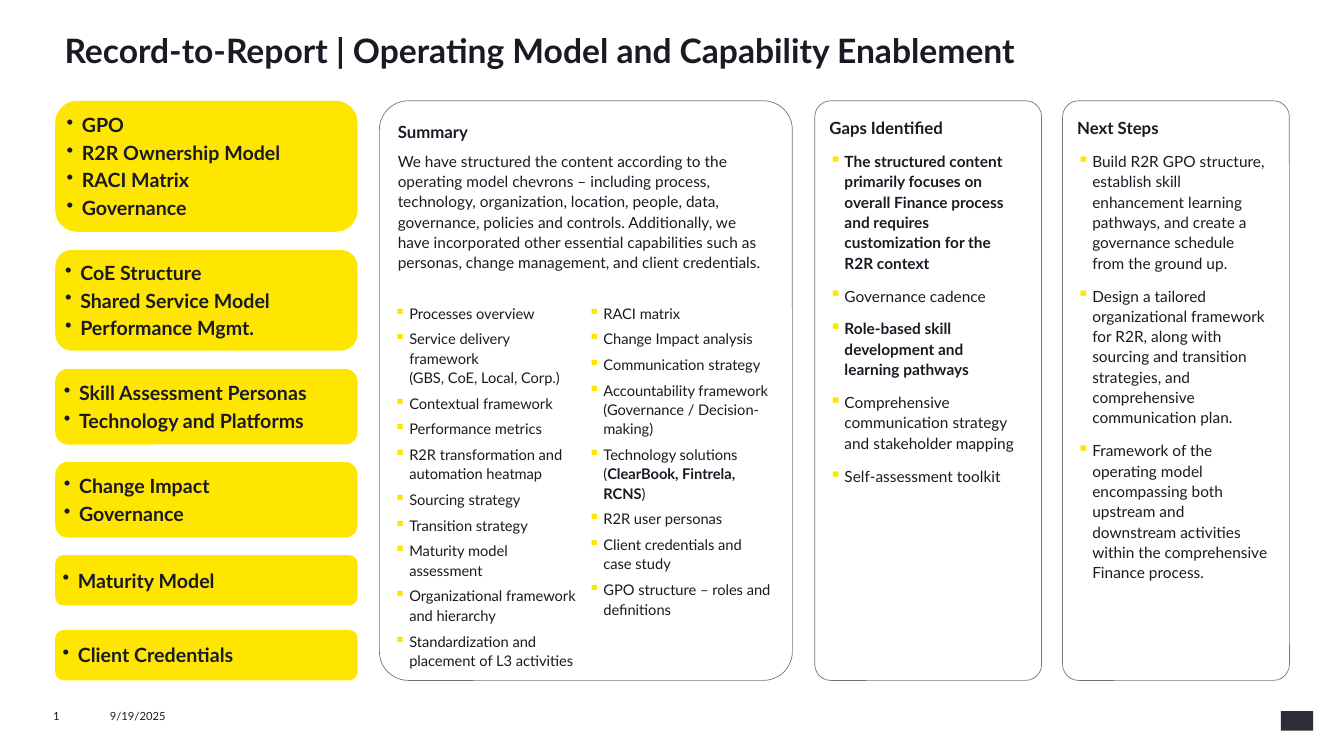
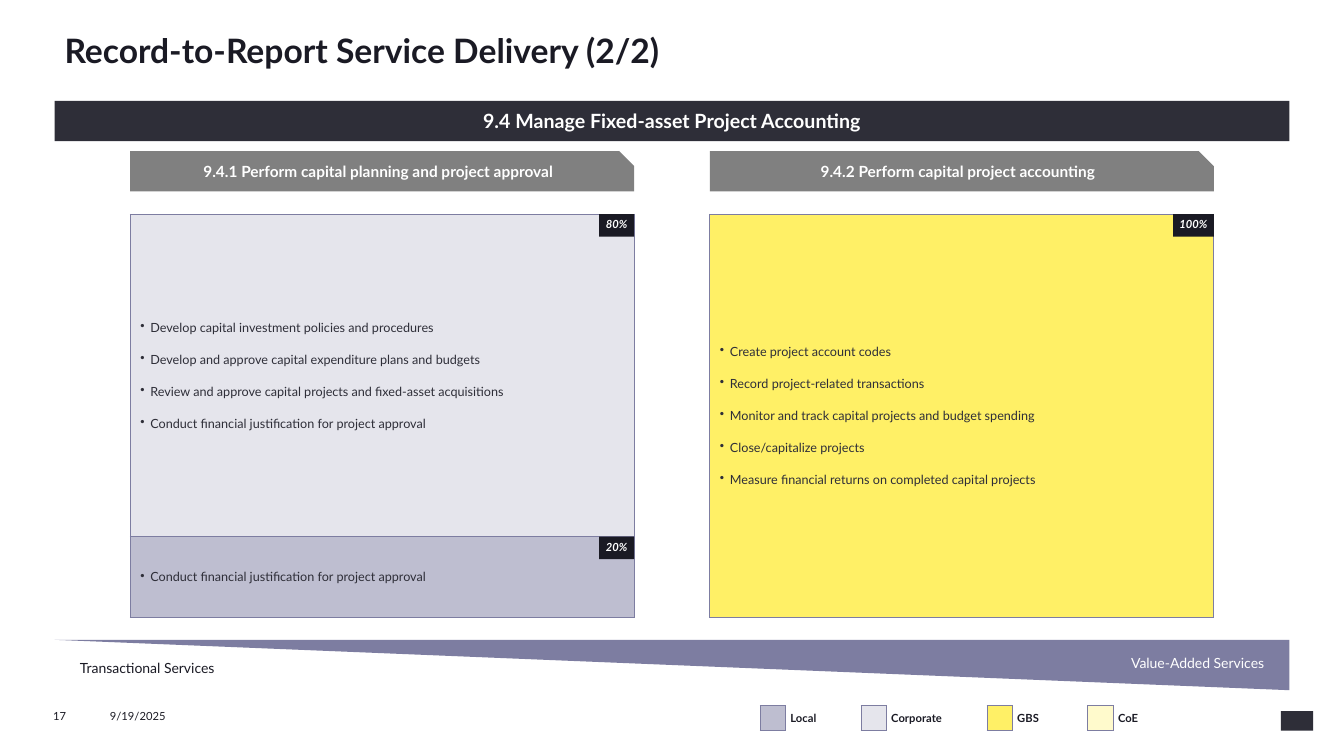
from lxml.etree import SubElement
from pptx import Presentation
from pptx.dml.color import RGBColor
from pptx.enum.shapes import MSO_SHAPE
from pptx.enum.text import MSO_ANCHOR, PP_ALIGN
from pptx.oxml.ns import qn
from pptx.util import Pt

RECT = MSO_SHAPE.RECTANGLE
ROUND = MSO_SHAPE.ROUNDED_RECTANGLE
PILL = MSO_SHAPE.FLOWCHART_ALTERNATE_PROCESS
SNIP = MSO_SHAPE.SNIP_1_RECTANGLE
WEDGE = MSO_SHAPE.RIGHT_TRIANGLE
TOP, MID = MSO_ANCHOR.TOP, MSO_ANCHOR.MIDDLE
LEFT, MIDST, RIGHT = PP_ALIGN.LEFT, PP_ALIGN.CENTER, PP_ALIGN.RIGHT

FONT = "Lato"
INK, DARK, GREY, EDGE = "1A1A24", "2E2E38", "808080", "747480"
WHITE, GOLD, PLUM = "FFFFFF", "FFE600", "7D7DA1"
LOCAL, CORP, GBS, COE = "BEBED0", "E5E5EC", "FFF066", "FFFACC"
INSET = (7.2, 3.6, 7.2, 3.6)
TIGHT = (3.6,) * 4
PANEL = (7.2, 7.2, 10.8, 0)


def color(code):
    """Turn a hex string into a colour."""
    return RGBColor.from_string(code)


class Deck:
    """Hold the shared style and the slide being built."""

    def __init__(self):
        self.show = Presentation()
        self.show.slide_width, self.show.slide_height = Pt(960), Pt(540)
        self.slide = None

    def page(self, title, number):
        """Start a slide with its title and footer."""
        self.slide = self.show.slides.add_slide(self.show.slide_layouts[6])
        self.prose(self.text(39, 18, 882, 43, (7.2, 3.6, 7.2, 0)), [title], 24, bold=True)
        for x, w, note in ((38, 40, number), (78.5, 101, "9/19/2025")):
            self.prose(self.text(x, 507, w, 9.5, (0,) * 4), [note], 8)
        self.shape(RECT, 915, 508, 23, 14, DARK)

    def setup(self, frame, inset, anchor):
        """Set wrap, insets and anchor of a text frame."""
        frame.word_wrap = True
        frame.vertical_anchor = anchor
        (frame.margin_left, frame.margin_top,
         frame.margin_right, frame.margin_bottom) = map(Pt, inset)
        return frame

    def text(self, x, y, w, h, inset=INSET, anchor=TOP):
        """Add a text box and return its frame."""
        box = self.slide.shapes.add_textbox(Pt(x), Pt(y), Pt(w), Pt(h))
        return self.setup(box.text_frame, inset, anchor)

    def shape(self, kind, x, y, w, h, fill=None, line=None, adjust=None,
              turn=0, inset=INSET, anchor=MID):
        """Add a preset shape and return its text frame."""
        item = self.slide.shapes.add_shape(kind, Pt(x), Pt(y), Pt(w), Pt(h))
        item.shadow.inherit = False
        item.rotation = turn
        if adjust is not None:
            item.adjustments[0] = adjust
        self.paint(item.fill, fill)
        self.paint(item.line.fill, line)
        if line:
            item.line.width = Pt(0.5)
        return self.setup(item.text_frame, inset, anchor)

    def paint(self, fill, code):
        """Fill with a solid colour or with nothing."""
        if code:
            fill.solid()
            fill.fore_color.rgb = color(code)
        else:
            fill.background()

    def prose(self, frame, paras, size, ink=INK, bold=False, italic=False,
              mark=None, tint=None, dent=10.8, gap=0, lead=None, align=LEFT):
        """Append paragraphs, each a string or a list of (text, bold) runs."""
        for runs in paras:
            fresh = not frame.text
            para = frame.paragraphs[0] if fresh else frame.add_paragraph()
            para.alignment = align
            if lead:
                para.line_spacing = lead
            para.space_before = Pt(0 if fresh else gap)
            if mark:
                self.bullet(para, mark, tint, dent)
            for words, heavy in [(runs, bold)] if isinstance(runs, str) else runs:
                if words == "\n":
                    para.add_line_break()
                    SubElement(para._p[-1], qn("a:rPr"), sz=str(int(size * 100)))
                    continue
                run = para.add_run()
                run.text = words
                font = run.font
                font.name, font.size = FONT, Pt(size)
                font.bold, font.italic = heavy, italic
                font.color.rgb = color(ink)

    def bullet(self, para, mark, tint, dent):
        """Give a paragraph a hanging bullet."""
        props = para._p.get_or_add_pPr()
        props.set("marL", str(Pt(dent)))
        props.set("indent", str(-Pt(dent)))
        if tint:
            hue = SubElement(props, qn("a:buClr"))
            SubElement(hue, qn("a:srgbClr"), val=tint)
            SubElement(props, qn("a:buSzPct"), val="110000")
        SubElement(props, qn("a:buChar"), char=mark)

    def points(self, frame, paras, size, gap):
        """Append paragraphs with gold square bullets."""
        self.prose(frame, paras, size, mark="▪", tint=GOLD, gap=gap, lead=1.1)

    def table(self, x, y, widths, heights):
        """Add a plain table and return it."""
        grid = self.slide.shapes.add_table(
            len(heights), len(widths), Pt(x), Pt(y),
            Pt(sum(widths)), Pt(sum(heights))).table
        grid.first_row = grid.horz_banding = False
        for part, span in zip(grid.columns, widths):
            part.width = Pt(span)
        for part, span in zip(grid.rows, heights):
            part.height = Pt(span)
        return grid

    def cell(self, cell, fill=None, sides="LRTB", inset=INSET):
        """Set borders, fill and insets of a cell and return its frame."""
        props = cell._tc.get_or_add_tcPr()
        for side in sides:
            line = SubElement(props, qn("a:ln" + side), w=str(Pt(0.5)))
            solid = SubElement(line, qn("a:solidFill"))
            SubElement(solid, qn("a:srgbClr"), val=PLUM)
        self.paint(cell.fill, fill)
        cell.vertical_anchor = MID
        (cell.margin_left, cell.margin_top,
         cell.margin_right, cell.margin_bottom) = map(Pt, inset)
        return cell.text_frame

    def split(self, x, parts):
        """Stack shares of work in a table with a badge on each."""
        top, tall, wide = 153, 288, 360
        grid = self.table(x, top, [wide], [tall * share / 100 for share, _, _ in parts])
        for row, (share, fill, tasks) in enumerate(parts):
            frame = self.cell(grid.cell(row, 0), fill)
            self.prose(frame, tasks, 9, DARK, mark="•", dent=7.2, gap=12)
            span = 29 if share == 100 else 25
            badge = self.shape(RECT, x + wide - span, top, span, 16, INK, inset=TIGHT)
            self.prose(badge, [f"{share}%"], 8, WHITE, True, True, lead=0.9, align=MIDST)
            top += tall * share / 100

    def legend(self, x, y, keys):
        """Draw colour keys with their names in a one-row table."""
        widths = [w for _, _, wide in keys for w in (18, wide)]
        grid = self.table(x, y, widths, [18])
        for col, (name, fill, _) in enumerate(keys):
            swatch = self.cell(grid.cell(0, 2 * col), fill, inset=TIGHT)
            SubElement(swatch.paragraphs[0]._p, qn("a:endParaRPr"), sz="800")
            sides = "L" if col == len(keys) - 1 else "LR"
            frame = self.cell(grid.cell(0, 2 * col + 1), None, sides, TIGHT)
            self.prose(frame, [name], 8, bold=True)


def model(deck):
    """Build the operating model slide."""
    deck.page("Record-to-Report | Operating Model and Capability Enablement", "1")
    blocks = [
        (72, 93.6, ["GPO", "R2R Ownership Model", "RACI Matrix", "Governance"]),
        (178.5, 72, ["CoE Structure", "Shared Service Model", "Performance Mgmt."]),
        (263.5, 54, ["Skill Assessment Personas", "Technology and Platforms"]),
        (330, 54, ["Change Impact", "Governance"]),
        (396.5, 36, ["Maturity Model"]),
        (450, 36, ["Client Credentials"]),
    ]
    for y, h, names in blocks:
        frame = deck.shape(PILL, 39.5, y, 216, h, GOLD, inset=TIGHT)
        deck.prose(frame, names, 14, bold=True, mark="•", gap=3)

    panels = []
    for x, w, head in ((271, 295, "Summary"), (582, 162, "Gaps Identified"),
                       (759, 162, "Next Steps")):
        frame = deck.shape(ROUND, x, 72, w, 414, None, EDGE, 0.07, inset=PANEL, anchor=TOP)
        deck.prose(frame, [head], 12, bold=True, lead=1.1)
        panels.append(frame)
    brief, gaps, steps = panels
    deck.prose(brief, [
        "We have structured the content according to the operating model chevrons – "
        "including process, technology, organization, location, people, data, governance, "
        "policies and controls. Additionally, we have incorporated other essential "
        "capabilities such as personas, change management, and client credentials."
    ], 11, gap=6, lead=1.1)
    deck.points(gaps, [
        [("The structured content primarily focuses on overall Finance process and "
          "requires customization for the R2R context", True)],
        "Governance cadence",
        [("Role-based skill development and learning pathways", True)],
        "Comprehensive communication strategy and stakeholder mapping",
        "Self-assessment toolkit",
    ], 11, 9)
    deck.points(steps, [
        "Build R2R GPO structure, establish skill enhancement learning pathways, "
        "and create a governance schedule from the ground up.",
        "Design a tailored organizational framework for R2R, along with sourcing and "
        "transition strategies, and comprehensive communication plan.",
        "Framework of the operating model encompassing both upstream and downstream "
        "activities within the comprehensive Finance process.",
    ], 11, 9)

    topics = deck.text(274.5, 209, 288, 270, PANEL)
    body = topics._txBody.bodyPr
    body.set("numCol", "2")
    body.set("spcCol", str(Pt(7.2)))
    deck.points(topics, [
        "Processes overview",
        [("Service delivery framework", False), ("\n", False),
         ("(GBS, CoE, Local, Corp.)", False)],
        "Contextual framework",
        "Performance metrics",
        "R2R transformation and automation heatmap",
        "Sourcing strategy",
        "Transition strategy",
        "Maturity model assessment",
        "Organizational framework and hierarchy",
        "Standardization and placement of L3 activities",
        "RACI matrix",
        "Change Impact analysis",
        "Communication strategy",
        "Accountability framework (Governance / Decision-making)",
        [("Technology solutions (", False), ("ClearBook, Fintrela, RCNS", True), (")", False)],
        "R2R user personas",
        "Client credentials and case study",
        "GPO structure – roles and definitions",
    ], 10.5, 4.5)


def service(deck):
    """Build the service delivery slide."""
    deck.page("Record-to-Report Service Delivery (2/2)", "17")
    deck.shape(WEDGE, 39, 457, 882, 36, PLUM, turn=180)
    for x, y, words, ink, align in (
            (50, 468, "Transactional Services", INK, LEFT),
            (784, 464.5, "Value-Added Services", WHITE, RIGHT)):
        deck.prose(deck.text(x, y, 126, 18, anchor=MID), [words], 10, ink, align=align)
    deck.legend(543, 504, [("Local", LOCAL, 54), ("Corporate", CORP, 72),
                           ("GBS", GBS, 54), ("CoE", COE, 54)])
    band = deck.shape(RECT, 39, 72, 882, 28.8, DARK)
    deck.prose(band, ["9.4 Manage Fixed-asset Project Accounting"], 14, WHITE, True, align=MIDST)

    justify = "Conduct financial justification for project approval"
    plan = [
        (80, CORP, ["Develop capital investment policies and procedures",
                    "Develop and approve capital expenditure plans and budgets",
                    "Review and approve capital projects and fixed-asset acquisitions",
                    justify]),
        (20, LOCAL, [justify]),
    ]
    track = [
        (100, GBS, ["Create project account codes",
                    "Record project-related transactions",
                    "Monitor and track capital projects and budget spending",
                    "Close/capitalize projects",
                    "Measure financial returns on completed capital projects"]),
    ]
    for x, head, parts in (
            (93, "9.4.1 Perform capital planning and project approval", plan),
            (507, "9.4.2 Perform capital project accounting", track)):
        tab = deck.shape(SNIP, x, 108, 360, 28.8, GREY, adjust=0.37, inset=(7.2, 0, 7.2, 5))
        deck.prose(tab, [head], 11, WHITE, True, align=MIDST)
        deck.split(x, parts)


def main():
    """Build and save the deck."""
    deck = Deck()
    model(deck)
    service(deck)
    deck.show.save("out.pptx")


if __name__ == "__main__":
    main()
